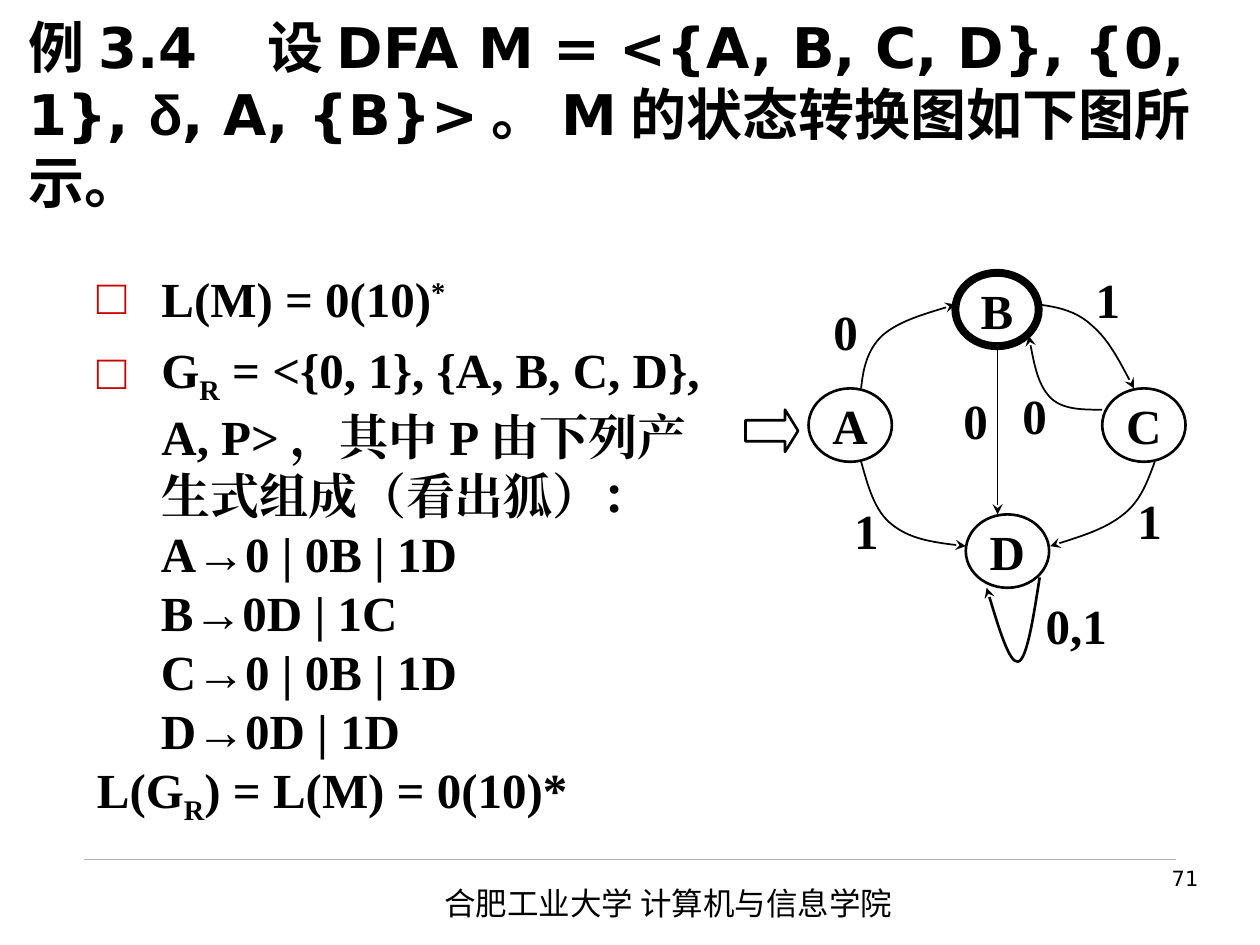
"""Build the slide on a DFA, its transition diagram and the matching grammar."""
from dataclasses import dataclass

from lxml import etree
from pptx import Presentation
from pptx import util as u
from pptx.dml.color import RGBColor
from pptx.enum import shapes, text
from pptx.oxml.ns import qn


@dataclass(frozen=True)
class Theme:
    ink: str = "000000"
    accent: str = "CC0000"
    rule: str = "B2B2B2"
    serif: str = "Times New Roman"
    sans: str = "DejaVu Sans"
    greek: str = "Arial"
    chinese: str = "Noto Sans CJK SC"
    title: int = 32
    body: int = 28
    footer: int = 18
    number: int = 12


class Deck:
    def __init__(self, theme):
        self.theme = theme
        self.prs = Presentation()
        self.prs.slide_width, self.prs.slide_height = u.Cm(25.4), u.Cm(19.05)
        self.s = self.prs.slides.add_slide(self.prs.slide_layouts[1])

    def place(self, sp, box):
        sp.left, sp.top, sp.width, sp.height = map(u.Cm, box)

    def format_run(self, r, size, face, bold=True):
        r.font.size, r.font.bold, r.font.name = u.Pt(size), bold, face
        r.font.color.rgb = RGBColor.from_string(self.theme.ink)
        etree.SubElement(r._r.get_or_add_rPr(), qn("a:ea"), typeface=face)

    def frame(self, sp, anchor, wrap=True):
        tf = sp.text_frame
        tf.auto_size = text.MSO_AUTO_SIZE.NONE
        tf.word_wrap, tf.vertical_anchor = wrap, anchor
        return tf

    def title(self, box, parts):
        sp = self.s.shapes.title
        self.place(sp, box)
        p = self.frame(sp, text.MSO_ANCHOR.BOTTOM).paragraphs[0]
        p.alignment = text.PP_ALIGN.LEFT
        for words, face in parts:
            r = p.add_run()
            r.text = words
            self.format_run(r, self.theme.title, face)

    def body(self, box, items):
        sp = self.s.placeholders[1]
        self.place(sp, box)
        tf = self.frame(sp, text.MSO_ANCHOR.TOP)
        for i, (kind, parts) in enumerate(items):
            p = tf.paragraphs[0] if i == 0 else tf.add_paragraph()
            self.list_style(p, kind)
            p.alignment = text.PP_ALIGN.LEFT
            p.space_before = u.Pt(7 if kind == "bullet" and i else 0)
            for words, baseline in parts:
                r = p.add_run()
                r.text = words
                self.format_run(r, self.theme.body, self.theme.serif)
                if baseline:
                    r._r.get_or_add_rPr().set("baseline", str(baseline * 1000))

    def list_style(self, p, kind):
        p.level = 1 if kind == "rule" else 0
        margin, indent = (2.51, -1.22) if kind == "rule" else (1.3, -1.3)
        pPr = p._p.get_or_add_pPr()
        pPr.set("marL", str(u.Cm(margin)))
        pPr.set("indent", str(u.Cm(indent)))
        if kind == "bullet":
            colour = etree.SubElement(pPr, qn("a:buClr"))
            etree.SubElement(colour, qn("a:srgbClr"), val=self.theme.accent)
            etree.SubElement(pPr, qn("a:buChar"), char="□")
        else:
            etree.SubElement(pPr, qn("a:buNone"))

    def fill_text(self, sp, words, size, face, align, anchor, bold=False, wrap=True):
        tf = self.frame(sp, anchor, wrap)
        tf.text = words
        tf.paragraphs[0].alignment = align
        self.format_run(tf.paragraphs[0].runs[0], size, face, bold)

    def textbox(self, box, words, size, face, align=text.PP_ALIGN.LEFT):
        sp = self.s.shapes.add_textbox(*map(u.Cm, box))
        self.fill_text(sp, words, size, face, align, text.MSO_ANCHOR.TOP)

    def symbol(self, sp, words):
        self.fill_text(sp, words, self.theme.body, self.theme.serif,
                       text.PP_ALIGN.CENTER, text.MSO_ANCHOR.MIDDLE, True, False)

    def label(self, x, y, words):
        self.symbol(self.s.shapes.add_textbox(*map(u.Cm, (x, y, 2.33, 1.48))), words)

    def outline(self, sp, width):
        sp.shadow.inherit = False
        sp.fill.background()
        self.stroke(sp, width, self.theme.ink)

    def stroke(self, sp, width, colour, arrow=False):
        sp.line.width = u.Pt(width)
        sp.line.color.rgb = RGBColor.from_string(colour)
        if arrow:
            etree.SubElement(sp.line._get_or_add_ln(), qn("a:tailEnd"), type="stealth")

    def state(self, x, y, name, width=1.5):
        sp = self.s.shapes.add_shape(shapes.MSO_SHAPE.OVAL, *map(u.Cm, (x, y, 1.68, 1.48)))
        self.outline(sp, width)
        self.symbol(sp, name)

    def start_arrow(self, box):
        sp = self.s.shapes.add_shape(shapes.MSO_SHAPE.RIGHT_ARROW, *map(u.Cm, box))
        sp.adjustments[0], sp.adjustments[1] = 0.5, 0.31
        self.outline(sp, 1.5)

    def line(self, ends, width, colour, arrow=False):
        sp = self.s.shapes.add_connector(shapes.MSO_CONNECTOR.STRAIGHT, *map(u.Cm, ends))
        self.stroke(sp, width, colour, arrow)
        etree.SubElement(sp._element.spPr, qn("a:effectLst"))

    def curve(self, points, width=1):
        start, *rest = [(u.Cm(x), u.Cm(y)) for x, y in points]
        builder = self.s.shapes.build_freeform(*start)
        builder.add_line_segments(rest, close=False)
        sp = builder.convert_to_shape()
        outline = sp._element.find(".//" + qn("a:path"))
        for i, segment in enumerate(outline.findall(qn("a:lnTo"))):
            if i % 3 == 0:
                bezier = etree.SubElement(outline, qn("a:cubicBezTo"))
            bezier.append(segment[0])
            outline.remove(segment)
        self.outline(sp, width)
        self.stroke(sp, width, self.theme.ink, True)


STATES = [(16.3, 7.83, "A"), (19.26, 5.5, "B", 4.5), (22.22, 7.83, "C"), (19.47, 10.37, "D")]
LABELS = [(21.17, 5.29, "1"), (15.88, 5.93, "0"), (20.53, 11.85, "0,1"), (16.3, 9.95, "1"),
          (22.01, 9.74, "1"), (19.69, 7.62, "0"), (18.5, 7.73, "0")]
LOOP = [(20.96, 11.64), (20.83, 12.47), (20.7, 13.31), (20.52, 13.34),
        (20.35, 13.36), (20.12, 12.62), (19.89, 11.85)]
TRANSITIONS = [
    [(17.36, 7.83), (17.4, 7.44), (17.48, 7.06), (17.78, 6.77),
     (18.1, 6.49), (18.66, 6.32), (19.26, 6.14)],
    [(17.36, 9.31), (17.5, 9.8), (17.63, 10.31), (17.99, 10.58),
     (18.34, 10.86), (18.9, 10.95), (19.47, 11.01)],
    [(22.22, 8.26), (21.82, 8.26), (21.41, 8.26), (21.17, 8.01),
     (20.93, 7.76), (20.83, 7.26), (20.74, 6.77)],
    [(20.94, 6.14), (21.33, 6.19), (21.7, 6.27), (22.01, 6.56),
     (22.34, 6.84), (22.6, 7.34), (22.86, 7.83)],
    [(23.28, 9.31), (23.13, 9.71), (23, 10.09), (22.65, 10.37),
     (22.3, 10.65), (21.75, 10.83), (21.17, 11.01)],
]
RULES = ["A→0 | 0B | 1D", "B→0D | 1C", "C→0 | 0B | 1D", "D→0D | 1D"]


def main():
    theme = Theme()
    deck = Deck(theme)
    deck.line((1.7, 17.32, 23.7, 17.32), 0.25, theme.rule)
    deck.textbox((8.71, 17.7, 11.99, 1.02), "合肥工业大学 计算机与信息学院",
                 theme.footer, theme.chinese)
    deck.textbox((18.9, 17.32, 5.51, 1.32), "71", theme.number, theme.sans,
                 text.PP_ALIGN.RIGHT)
    deck.title((0.33, 1.27, 24.77, 3.18), [
        ("例3.4　设DFA M = <{A, B, C, D}, {0, 1}, ", theme.sans),
        ("δ", theme.greek),
        (", A, {B}>。M的状态转换图如下图所示。", theme.sans)])
    deck.body((1.7, 5.28, 13.13, 12.07), [
        ("bullet", [("L(M) = 0(10)", 0), ("*", 30)]),
        ("bullet", [("G", 0), ("R", -25),
                    (" = <{0, 1}, {A, B, C, D}, A, P>，其中P由下列产生式组成（看出狐）：", 0)]),
        *[("rule", [(rule, 0)]) for rule in RULES],
        ("plain", [("L(G", 0), ("R", -25), (") = L(M) = 0(10)*", 0)])])
    for state in STATES:
        deck.state(*state)
    for label in LABELS:
        deck.label(*label)
    deck.curve(LOOP, 1.5)
    deck.line((20.11, 6.99, 20.11, 10.37), 1, theme.ink, True)
    for points in TRANSITIONS:
        deck.curve(points)
    deck.start_arrow((15.03, 8.26, 1.06, 0.85))
    deck.prs.save("out.pptx")


if __name__ == "__main__":
    main()
